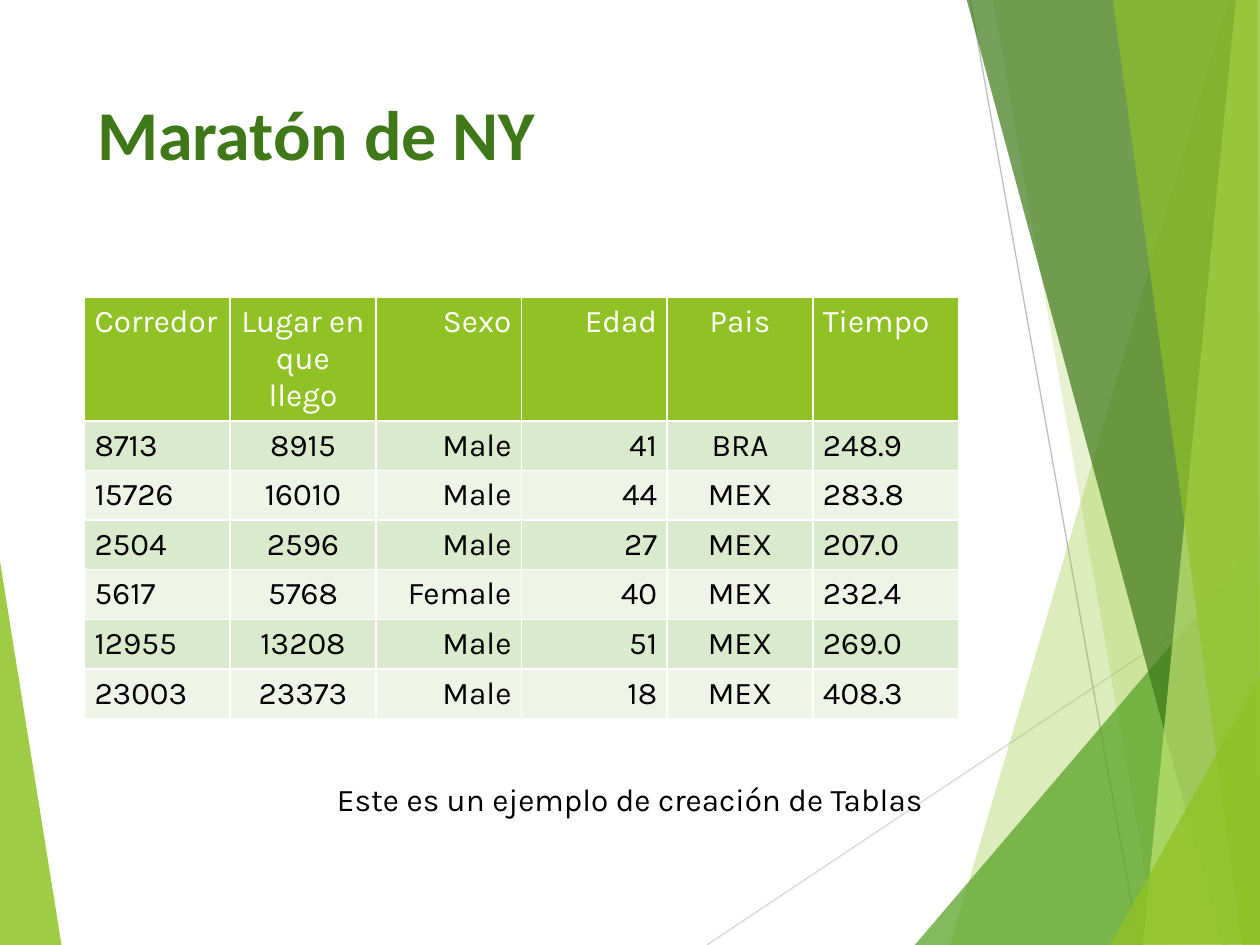
from pptx import Presentation
from pptx import util as u
from pptx.dml.color import RGBColor
from pptx.enum import shapes, text
from pptx.oxml import ns, xmlchemy

LEFT, CENTER, RIGHT = text.PP_ALIGN.LEFT, text.PP_ALIGN.CENTER, text.PP_ALIGN.RIGHT
LIME, GREEN, FOREST, PALE = "90C226", "54A021", "3F7819", "C0E474"
WHITE, BLACK = "FFFFFF", "000000"
BANDS = ("DBE9CD", "EEF4E8")


def color(value):
    return RGBColor.from_string(value)


class SlideBuilder:
    body_font, title_font = "Karla", "Calibri"

    def __init__(self, slide):
        self.slide = slide

    def add_words(self, frame, words, align=LEFT, size=18, font=body_font, fill=BLACK, bold=False):
        frame.word_wrap = True
        paragraph = frame.paragraphs[0]
        paragraph.alignment = align
        run = paragraph.add_run()
        run.text = words
        run.font.size, run.font.name, run.font.bold = u.Pt(size), font, bold
        run.font.color.rgb = color(fill)

    def facet(self, points, fill, opacity):
        corners = [(u.Inches(x), u.Inches(y)) for x, y in points]
        builder = self.slide.shapes.build_freeform(*corners[0], scale=1.0)
        builder.add_line_segments(corners[1:], close=True)
        shape = builder.convert_to_shape()
        shape.shadow.inherit = False
        shape.line.fill.background()
        shape.fill.solid()
        shape.fill.fore_color.rgb = color(fill)
        fill_color = next(shape.element.spPr.iter(ns.qn("a:srgbClr")))
        alpha = xmlchemy.OxmlElement("a:alpha")
        alpha.set("val", str(opacity * 1000))
        fill_color.append(alpha)

    def line(self, x1, y1, x2, y2, stroke):
        connector = self.slide.shapes.add_connector(
            shapes.MSO_CONNECTOR.STRAIGHT, *map(u.Inches, (x1, y1, x2, y2)))
        connector.line.color.rgb = color(stroke)
        connector.line.width = u.Pt(0.75)
        connector._element.spPr.append(xmlchemy.OxmlElement("a:effectLst"))

    def title(self, words, box):
        shape = self.slide.shapes.title
        shape.left, shape.top, shape.width, shape.height = map(u.Inches, box)
        shape.text_frame.auto_size = text.MSO_AUTO_SIZE.NONE
        shape.text_frame.vertical_anchor = text.MSO_ANCHOR.TOP
        self.add_words(shape.text_frame, words, size=40, font=self.title_font, fill=FOREST, bold=True)

    def caption(self, words, box):
        shape = self.slide.shapes.add_textbox(*map(u.Inches, box))
        self.add_words(shape.text_frame, words, CENTER)

    def cell_borders(self, cell):
        properties = cell._tc.get_or_add_tcPr()
        for side in ("L", "R", "T", "B"):
            border = xmlchemy.OxmlElement("a:ln" + side)
            border.set("w", str(u.Pt(1)))
            solid = xmlchemy.OxmlElement("a:solidFill")
            stroke = xmlchemy.OxmlElement("a:srgbClr")
            stroke.set("val", WHITE)
            solid.append(stroke)
            border.append(solid)
            properties.append(border)

    def table(self, rows, aligns, box, header_height, row_height):
        frame = self.slide.shapes.add_table(len(rows), len(aligns), *map(u.Inches, box))
        table = frame.table
        for r, row in enumerate(rows):
            table.rows[r].height = u.Inches(row_height if r else header_height)
            for c, (words, align) in enumerate(zip(row, aligns)):
                cell = table.cell(r, c)
                cell.margin_left = cell.margin_right = u.Inches(0.08)
                cell.margin_top = cell.margin_bottom = u.Inches(0.05)
                self.cell_borders(cell)
                cell.fill.solid()
                cell.fill.fore_color.rgb = color(BANDS[(r - 1) % 2] if r else LIME)
                self.add_words(cell.text_frame, words, align, fill=BLACK if r else WHITE)


presentation = Presentation()
presentation.slide_width, presentation.slide_height = u.Inches(10), u.Inches(7.5)
builder = SlideBuilder(presentation.slides.add_slide(presentation.slide_layouts[5]))

# Background facets and thin lines, back to front
builder.facet([(-0.01, 4.39), (0.49, 7.51), (-0.01, 7.5)], LIME, 85)
builder.line(5.61, 7.5, 10.01, 4.57, "D9D9D9")
builder.line(7.7, 0, 9.04, 7.5, "BFBFBF")
for points, fill, opacity in [
    ([(9.75, 0), (7.54, 7.5), (10.02, 7.51), (10.01, 0.01)], LIME, 30),
    ([(7.88, -0.01), (9.19, 7.5), (10.01, 7.5), (10.01, -0.01)], LIME, 20),
    ([(7.26, 7.5), (10, 4.29), (10.01, 7.5)], GREEN, 72),
    ([(7.67, -0.01), (9.7, 7.5), (10.01, 7.49), (10.01, -0.01)], FOREST, 70),
    ([(9.81, -0.01), (9.07, 7.5), (10.01, 7.5), (10, -0.01)], PALE, 70),
    ([(8.83, -0.01), (9.86, 7.5), (10, 7.5), (9.98, -0.01)], LIME, 65),
    ([(8.81, 7.5), (10.01, 5.35), (10.01, 7.49)], LIME, 80),
]:
    builder.facet(points, fill, opacity)

# Title
builder.title("Maratón de NY", (0.67, 0.67, 6.94, 1.44))

# Table of runners
runners = [
    ("Corredor", "Lugar en que llego", "Sexo", "Edad", "Pais", "Tiempo"),
    ("8713", "8915", "Male", "41", "BRA", "248.9"),
    ("15726", "16010", "Male", "44", "MEX", "283.8"),
    ("2504", "2596", "Male", "27", "MEX", "207.0"),
    ("5617", "5768", "Female", "40", "MEX", "232.4"),
    ("12955", "13208", "Male", "51", "MEX", "269.0"),
    ("23003", "23373", "Male", "18", "MEX", "408.3"),
]
builder.table(runners, (LEFT, CENTER, RIGHT, RIGHT, CENTER, LEFT),
              (0.67, 2.36, 6.94, 3.34), header_height=0.98, row_height=0.39)

# Caption
builder.caption("Este es un ejemplo de creación de Tablas", (0.5, 6.14, 9, 0.56))

presentation.save("out.pptx")
